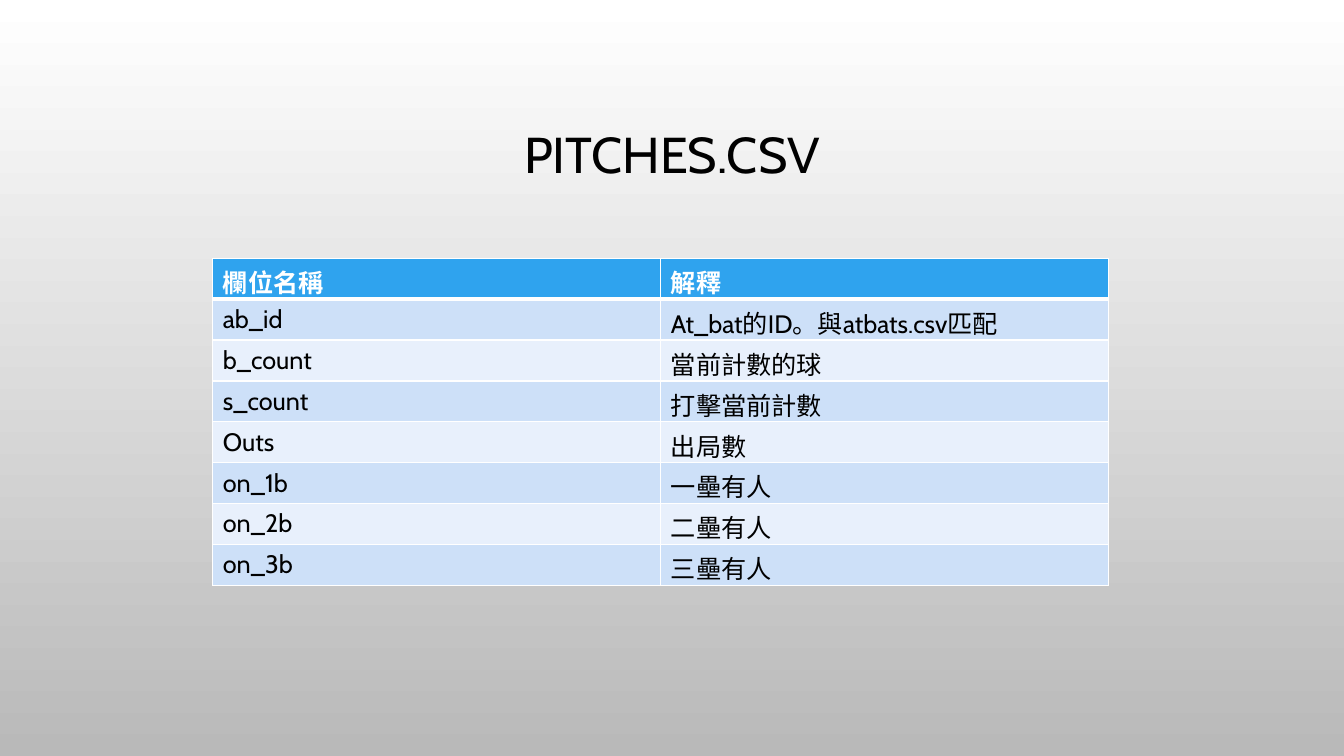
from lxml.etree import SubElement
from pptx import Presentation
from pptx.dml.color import RGBColor
from pptx.enum.text import MSO_ANCHOR, PP_ALIGN
from pptx.oxml.ns import qn
from pptx.util import Pt

ROWS = [
    ("欄位名稱", "解釋"),
    ("ab_id", "At_bat的ID。與atbats.csv匹配"),
    ("b_count", "當前計數的球"),
    ("s_count", "打擊當前計數"),
    ("Outs", "出局數"),
    ("on_1b", "一壘有人"),
    ("on_2b", "二壘有人"),
    ("on_3b", "三壘有人"),
]
HEAD = {"name": "Cabin", "size": Pt(18), "bold": True}
BODY = {**HEAD, "bold": False}
TITLE = {"name": "Cabin", "size": Pt(36)}


def paint(color, code):
    """Set a colour from a hex string."""
    color.rgb = RGBColor.from_string(code)


def write(frame, text, style, code):
    """Write one styled paragraph and return it."""
    par = frame.paragraphs[0]
    run = par.add_run()
    run.text = text
    for key, value in style.items():
        setattr(run.font, key, value)
    paint(run.font.color, code)
    return par


def edge(cell, sides):
    """Draw white cell borders with the given widths in points."""
    props = cell._tc.get_or_add_tcPr()
    for side, width in sides.items():
        line = SubElement(props, qn(f"a:ln{side}"), w=str(Pt(width)))
        fill = SubElement(line, qn("a:solidFill"))
        SubElement(fill, qn("a:srgbClr"), val="FFFFFF")


def backdrop(slide):
    """Fill the background with a gradient from top to bottom."""
    fill = slide.background.fill
    fill.gradient()
    fill.gradient_angle = 270
    for stop, code in zip(fill.gradient_stops, ("FFFFFF", "B9B9B9")):
        paint(stop.color, code)


def title(slide, left, top, width, height):
    """Place the centred title in its box."""
    box = slide.shapes.add_textbox(Pt(left), Pt(top), Pt(width), Pt(height))
    frame = box.text_frame
    frame.word_wrap = True
    frame.vertical_anchor = MSO_ANCHOR.MIDDLE
    par = write(frame, "PITCHES.CSV", TITLE, "000000")
    par.alignment = PP_ALIGN.CENTER
    par.line_spacing = 0.9


def fields(slide, left, top, width, height):
    """Place the table of field names and meanings in its box."""
    table = slide.shapes.add_table(
        len(ROWS), 2, Pt(left), Pt(top), Pt(width), Pt(height)).table
    for r, row in enumerate(ROWS):
        style, ink = (BODY, "000000") if r else (HEAD, "FFFFFF")
        back = ("E8F0FC", "CDE0F8")[r % 2] if r else "2FA3EE"
        sides = {"L": 1, "R": 1, "T": 3 if r == 1 else 1, "B": 1 if r else 3}
        for c, text in enumerate(row):
            cell = table.cell(r, c)
            edge(cell, sides)
            cell.fill.solid()
            paint(cell.fill.fore_color, back)
            write(cell.text_frame, text, style, ink)


def main():
    """Build the slide and save it."""
    deck = Presentation()
    deck.slide_width, deck.slide_height = Pt(960), Pt(540)
    slide = deck.slides.add_slide(deck.slide_layouts[6])
    backdrop(slide)
    title(slide, 72, 49, 816, 126)
    fields(slide, 152, 184.5, 640, 233.6)
    deck.save("out.pptx")


if __name__ == "__main__":
    main()
